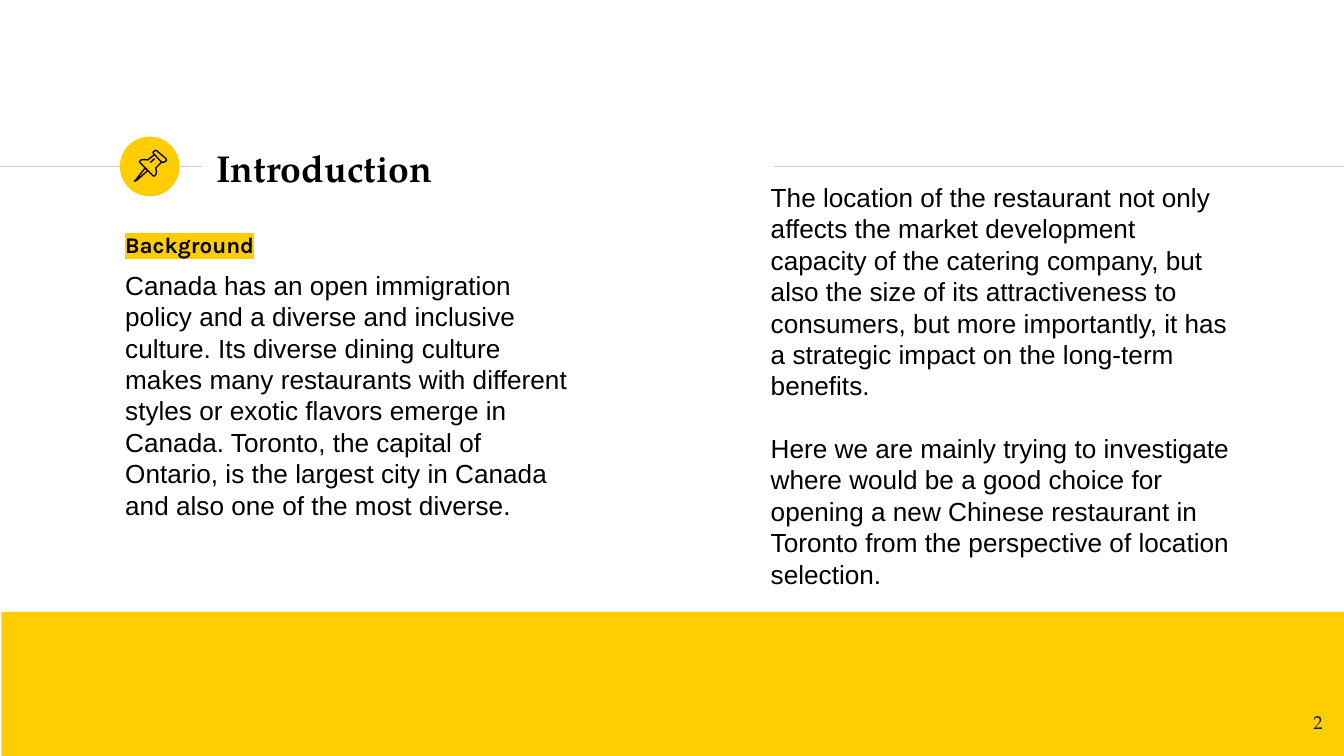
from dataclasses import dataclass

from lxml.etree import SubElement
from pptx import Presentation
from pptx.dml.color import RGBColor
from pptx.enum.shapes import MSO_CONNECTOR, MSO_SHAPE
from pptx.enum.text import MSO_ANCHOR, MSO_AUTO_SIZE, PP_ALIGN
from pptx.oxml.ns import qn
from pptx.util import Pt


@dataclass(frozen=True)
class Theme:
    yellow: str = "FFCD00"
    rule: str = "CCCCCC"
    black: str = "000000"
    number: str = "1D1D1B"
    serif: str = "TeX Gyre Pagella"
    label: str = "Karla"
    sans: str = "Arial"
    title_size: float = 20
    label_size: float = 12
    body_size: float = 14
    number_size: float = 10
    leading: float = 1.2
    inset: float = 7.2
    line: float = 0.75


THEME = Theme()

# Pushpin outlines in tenths of a point: (closed, points)
PIN = [
    (True, [(778, 900), (727, 965), (720, 972), (734, 965), (792, 914)]),
    (True, [(828, 828), (864, 868), (878, 870), (888, 864), (893, 857),
            (890, 851), (838, 806), (832, 806), (821, 814), (821, 821)]),
    (False, [(828, 828), (792, 857), (770, 855), (756, 857), (748, 865),
             (749, 871), (821, 943), (828, 943), (835, 936), (838, 921),
             (835, 900), (864, 871)]),
    (False, [(806, 871), (828, 850)]),
]

LEFT_TEXT = (
    "Canada has an open immigration policy and a diverse and inclusive culture. "
    "Its diverse dining culture makes many restaurants with different styles or "
    "exotic flavors emerge in Canada. Toronto, the capital of Ontario, is the "
    "largest city in Canada and also one of the most diverse."
)
RIGHT_TEXTS = [
    "The location of the restaurant not only affects the market development "
    "capacity of the catering company, but also the size of its attractiveness "
    "to consumers, but more importantly, it has a strategic impact on the "
    "long-term benefits.",
    "Here we are mainly trying to investigate where would be a good choice for "
    "opening a new Chinese restaurant in Toronto from the perspective of "
    "location selection.",
]


def rgb(color):
    return RGBColor.from_string(color)


def add_rule(slide, x1, x2, y):
    line = slide.shapes.add_connector(
        MSO_CONNECTOR.STRAIGHT, Pt(x1), Pt(y), Pt(x2), Pt(y))
    line.line.color.rgb = rgb(THEME.rule)
    line.line.width = Pt(THEME.line)
    SubElement(line._element.spPr, qn("a:effectLst"))


def add_block(slide, kind, left, top, width, height):
    sp = slide.shapes.add_shape(kind, Pt(left), Pt(top), Pt(width), Pt(height))
    sp.shadow.inherit = False
    sp.fill.solid()
    sp.fill.fore_color.rgb = rgb(THEME.yellow)
    sp.line.fill.background()


def add_pin(slide):
    group = slide.shapes.add_group_shape()
    for closed, points in PIN:
        builder = group.shapes.build_freeform(*points[0], scale=Pt(0.1))
        builder.add_line_segments(points[1:], close=closed)
        sp = builder.convert_to_shape()
        sp.shadow.inherit = False
        sp.fill.background()
        sp.line.color.rgb = rgb(THEME.black)
        sp.line.width = Pt(THEME.line)


def set_frame(sp, anchor=MSO_ANCHOR.TOP):
    tf = sp.text_frame
    tf.word_wrap = True
    tf.auto_size = MSO_AUTO_SIZE.NONE
    tf.vertical_anchor = anchor
    tf.margin_left = tf.margin_right = Pt(THEME.inset)
    tf.margin_top = tf.margin_bottom = Pt(THEME.inset)
    return tf


def add_text(slide, left, top, width, height, texts):
    box = slide.shapes.add_textbox(Pt(left), Pt(top), Pt(width), Pt(height))
    tf = set_frame(box)
    tf.text = "\n".join(texts)
    return tf.paragraphs


def format_text(p, font, size, color=THEME.black, bold=False):
    for r in p.runs:
        r.font.name = font
        r.font.size = Pt(size)
        r.font.bold = bold
        r.font.color.rgb = rgb(color)


def format_body(p, before=0):
    format_text(p, THEME.sans, THEME.body_size)
    p.line_spacing = Pt(THEME.body_size * THEME.leading)
    p.space_before = Pt(before)


def highlight(r, color):
    rPr = r.font._element
    mark = SubElement(rPr, qn("a:highlight"))
    SubElement(mark, qn("a:srgbClr")).set("val", color)
    rPr.find(qn("a:solidFill")).addnext(mark)


def set_title(slide, text):
    title = slide.shapes.title
    title.left, title.top = Pt(108.72), Pt(72.72)
    title.width, title.height = Pt(305.28), Pt(34.56)
    tf = set_frame(title, MSO_ANCHOR.MIDDLE)
    tf.text = text
    p = tf.paragraphs[0]
    p.alignment = PP_ALIGN.LEFT
    format_text(p, THEME.serif, THEME.title_size, bold=True)


def main():
    prs = Presentation()
    prs.slide_width, prs.slide_height = Pt(720), Pt(405)
    slide = prs.slides.add_slide(prs.slide_layouts[5])

    # Rules, badge and bottom band
    add_rule(slide, 0, 108, 89.28)
    add_block(slide, MSO_SHAPE.OVAL, 64.2, 73.2, 32, 32)
    add_rule(slide, 414.72, 720, 89.28)
    add_block(slide, MSO_SHAPE.RECTANGLE, 0.72, 327.8, 720, 77.2)

    # Title and pushpin
    set_title(slide, "Introduction")
    add_pin(slide)

    # Left column: highlighted label and text
    label, body = add_text(slide, 60, 116.64, 254.16, 173.52,
                           ["Background", LEFT_TEXT])
    format_text(label, THEME.label, THEME.label_size, bold=True)
    label.line_spacing = Pt(THEME.label_size * THEME.leading)
    highlight(label.runs[0], THEME.yellow)
    format_body(body, before=6)

    # Right column: paragraphs one line apart
    first, second = add_text(slide, 405.8, 90, 264.96, 173.52, RIGHT_TEXTS)
    format_body(first)
    format_body(second, before=THEME.body_size * THEME.leading)

    # Slide number
    number = add_text(slide, 672.48, 373.68, 43.2, 30.96, ["2"])[0]
    number.alignment = PP_ALIGN.RIGHT
    format_text(number, THEME.serif, THEME.number_size, THEME.number)

    prs.save("out.pptx")


if __name__ == "__main__":
    main()
